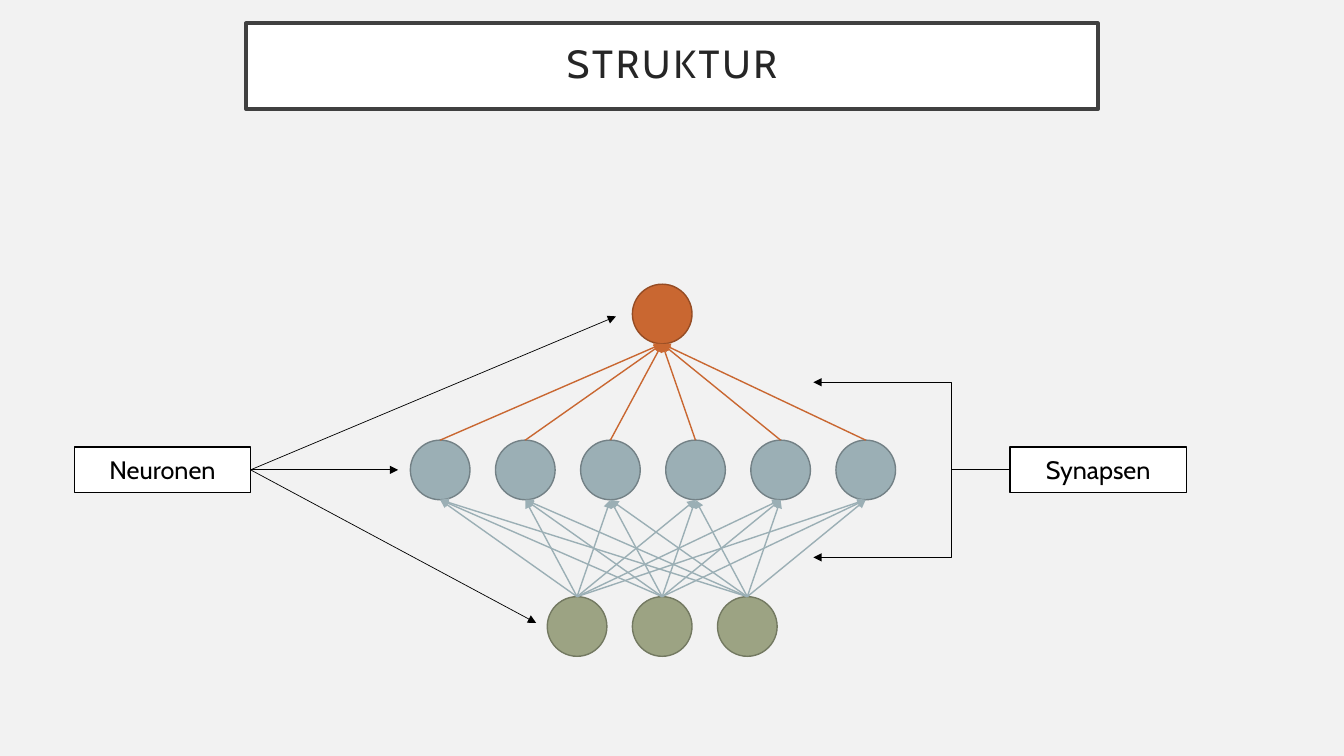
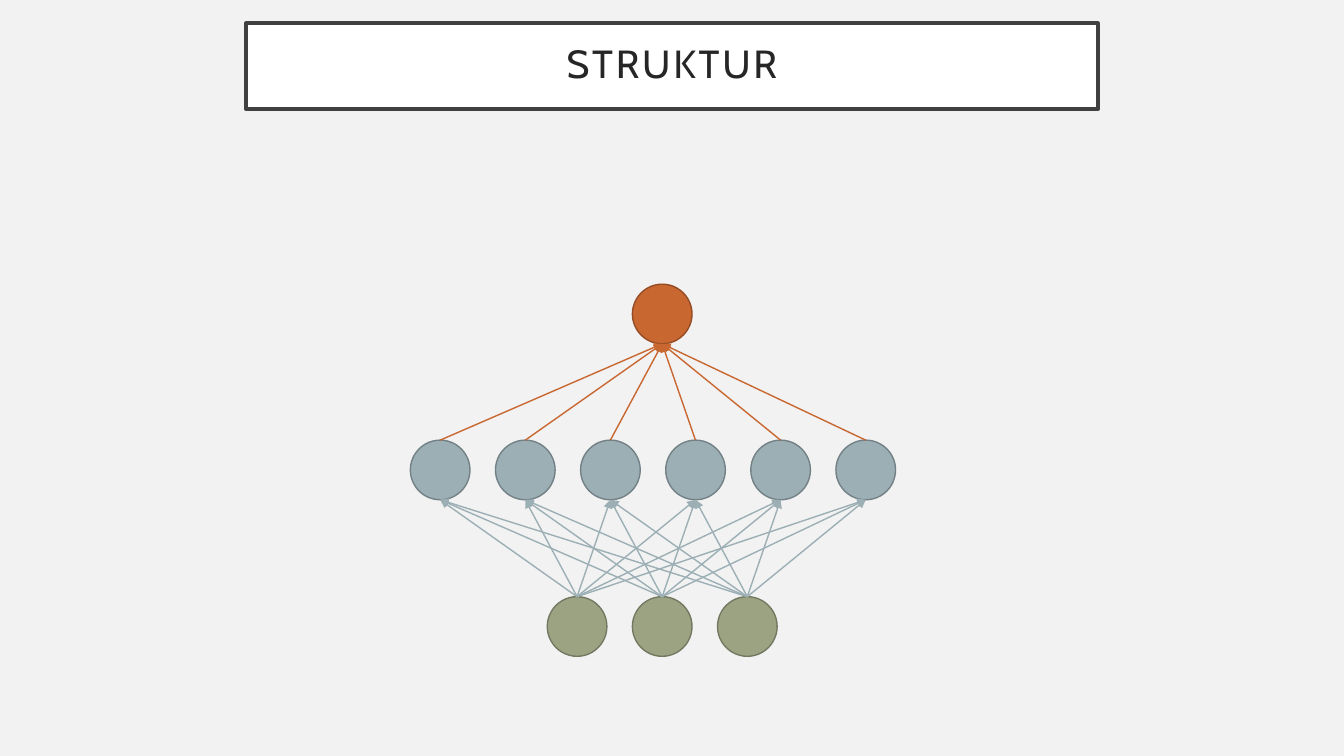
from lxml.etree import SubElement
from pptx import Presentation
from pptx.dml.color import RGBColor
from pptx.enum.shapes import MSO_CONNECTOR, MSO_SHAPE
from pptx.enum.text import MSO_ANCHOR, PP_ALIGN
from pptx.oxml.ns import qn
from pptx.util import Pt

BACKGROUND = RGBColor(0xF2, 0xF2, 0xF2)
WHITE = RGBColor(0xFF, 0xFF, 0xFF)
BLACK = RGBColor(0, 0, 0)
FRAME = RGBColor(0x40, 0x40, 0x40)
TITLE = RGBColor(0x26, 0x26, 0x26)
GREEN, GREEN_EDGE = RGBColor(0x9C, 0xA3, 0x83), RGBColor(0x73, 0x79, 0x61)
BLUE, BLUE_EDGE = RGBColor(0x9B, 0xAF, 0xB5), RGBColor(0x73, 0x81, 0x86)
ORANGE, ORANGE_EDGE = RGBColor(0xC9, 0x67, 0x31), RGBColor(0x95, 0x4C, 0x24)

FONT = "Cabin"

# Network geometry: neuron diameter, pitch between neurons
NEURON, PITCH = 42.6, 60.8
# Layers from input to output: count, centre x, top y, fill, edge
LAYERS = [
    (3, 473, 426.2, GREEN, GREEN_EDGE),
    (6, 466.4, 314.4, BLUE, BLUE_EDGE),
    (1, 473, 203, ORANGE, ORANGE_EDGE),
]

# Callout geometry
LABEL_W, LABEL_H, LABEL_Y = 126, 32.4, 319.4
LABEL_MID = LABEL_Y + LABEL_H / 2


class Deck:
    def __init__(self):
        self.prs = Presentation()
        self.prs.slide_width, self.prs.slide_height = Pt(960), Pt(540)
        self.s = None

    def slide(self, title):
        self.s = self.prs.slides.add_slide(self.prs.slide_layouts[6])
        fill = self.s.background.fill
        fill.solid()
        fill.fore_color.rgb = BACKGROUND
        self.title(title)

    def shape(self, kind, box, fill, edge, width=1, shapes=None):
        shapes = shapes or self.s.shapes
        sp = shapes.add_shape(kind, *map(Pt, box))
        sp.shadow.inherit = False
        sp.fill.solid()
        sp.fill.fore_color.rgb = fill
        sp.line.color.rgb = edge
        sp.line.width = Pt(width)
        return sp

    def text(self, sp, text, size, color):
        tf = sp.text_frame
        tf.word_wrap = True
        tf.vertical_anchor = MSO_ANCHOR.MIDDLE
        p = tf.paragraphs[0]
        p.alignment = PP_ALIGN.CENTER
        r = p.add_run()
        r.text = text
        r.font.color.rgb = color
        for name, value in {"name": FONT, "size": Pt(size)}.items():
            setattr(r.font, name, value)
        return tf

    def title(self, text):
        sp = self.shape(MSO_SHAPE.RECTANGLE, (175.7, 16.6, 608.6, 61.4),
                        WHITE, FRAME, 2.5)
        tf = self.text(sp, text, 28, TITLE)
        for side in ("left", "top", "right", "bottom"):
            setattr(tf, f"margin_{side}", Pt(14.4))
        p = tf.paragraphs[0]
        p.line_spacing = 0.9
        p.runs[0].font._element.set("spc", "200")

    def label(self, text, x):
        sp = self.shape(MSO_SHAPE.RECTANGLE, (x, LABEL_Y, LABEL_W, LABEL_H),
                        WHITE, BLACK)
        self.text(sp, text, 18, BLACK)

    def arrow(self, start, end, color=BLACK, width=0.5, bend=None, shapes=None):
        kind = MSO_CONNECTOR.STRAIGHT if bend is None else MSO_CONNECTOR.ELBOW
        shapes = shapes or self.s.shapes
        c = shapes.add_connector(kind, *map(Pt, (*start, *end)))
        c.line.color.rgb = color
        c.line.width = Pt(width)
        SubElement(c.line._get_or_add_ln(), qn("a:tailEnd"), type="triangle")
        sp_pr = c._element.spPr
        SubElement(sp_pr, qn("a:effectLst"))
        if bend is not None:
            guides = sp_pr.find(qn("a:prstGeom")).find(qn("a:avLst"))
            SubElement(guides, qn("a:gd"), name="adj1",
                       fmla=f"val {round(bend * 100000)}")

    def network(self):
        shapes = self.s.shapes.add_group_shape().shapes
        rows = []
        # Neurons
        for count, mid, top, fill, edge in LAYERS:
            centres = [mid + (i - (count - 1) / 2) * PITCH for i in range(count)]
            rows.append((centres, top, fill))
            for x in centres:
                self.shape(MSO_SHAPE.OVAL, (x - NEURON / 2, top, NEURON, NEURON),
                           fill, edge, shapes=shapes)
        # Synapses, in the colour of the layer they reach
        for (sources, low, _), (targets, high, color) in zip(rows, rows[1:]):
            for x in sources:
                for target in targets:
                    self.arrow((x, low), (target, high + NEURON), color, 1,
                               shapes=shapes)

    def callouts(self):
        # Neurons
        left = 53
        self.label("Neuronen", left)
        for end in ((440, 226), (284.4, LABEL_MID), (383, 445)):
            self.arrow((left + LABEL_W, LABEL_MID), end)
        # Synapses
        right = 721.4
        self.label("Synapsen", right)
        for rise in (-62.5, 62.5):
            self.arrow((right, LABEL_MID), (581, LABEL_MID + rise), bend=0.3)


def main():
    deck = Deck()
    for with_callouts in (True, False):
        deck.slide("STRUKTUR")
        deck.network()
        if with_callouts:
            deck.callouts()
    deck.prs.save("out.pptx")


if __name__ == "__main__":
    main()
